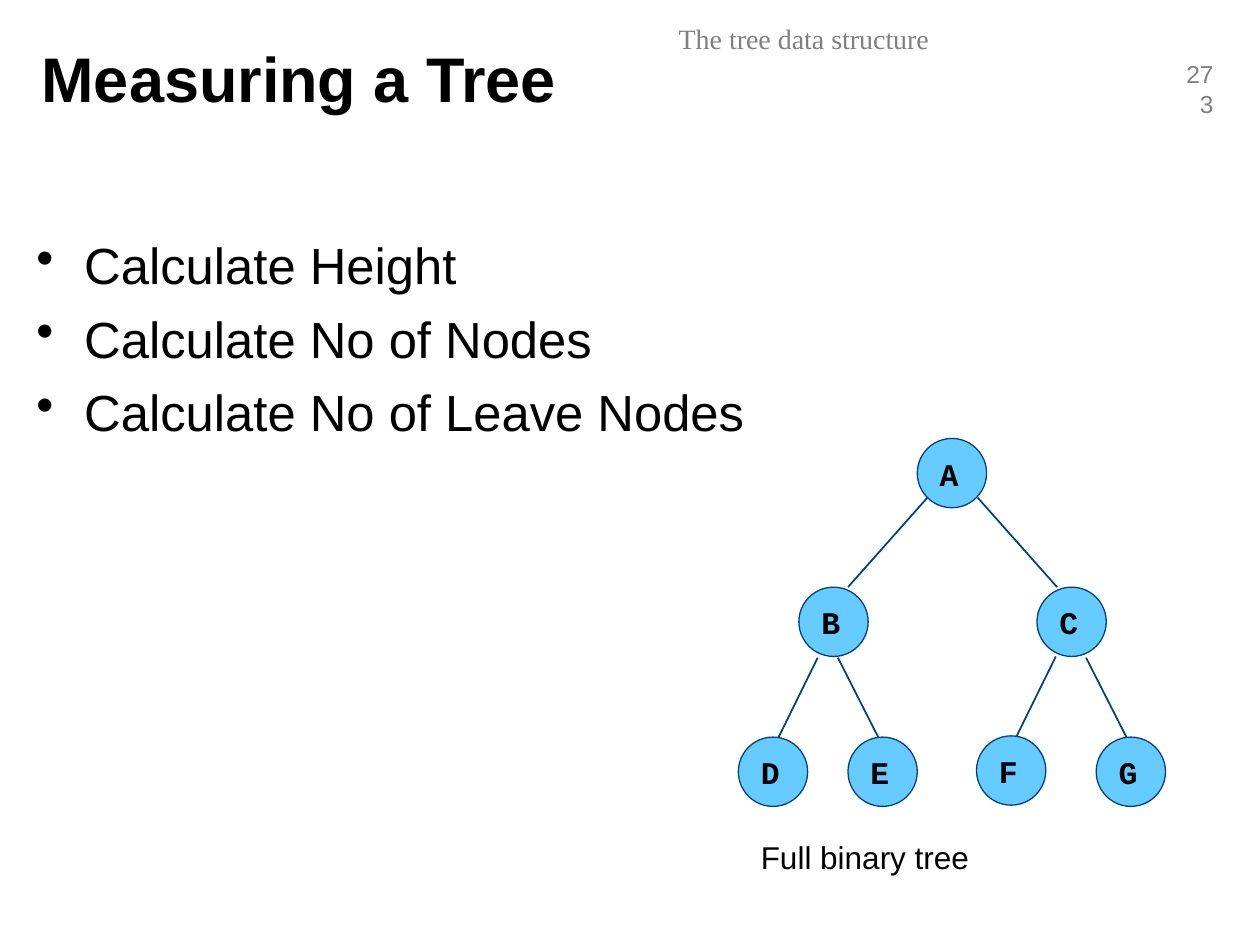
from lxml import etree
from pptx import Presentation
from pptx.dml.color import RGBColor
from pptx.enum import shapes, text
from pptx.oxml.ns import qn
from pptx.util import Inches, Pt

BLACK, GREY, NODE_FILL, NODE_LINE = "000000", "808080", "66CCFF", "004080"
NODE_SIZE = 0.55

# Positions are in inches from the top left corner of the tree.
NODES = {
    "A": (1.42, 0),
    "B": (0.48, 1.18), "C": (2.37, 1.18),
    "D": (0, 2.37), "E": (0.87, 2.37), "F": (1.89, 2.36), "G": (2.84, 2.37),
}
EDGES = [
    (1.5, 0.47, 0.87, 1.18), (1.9, 0.47, 2.53, 1.18),
    (0.63, 1.74, 0.32, 2.37), (0.79, 1.74, 1.11, 2.37),
    (2.52, 1.73, 2.21, 2.36), (2.76, 1.74, 3.08, 2.37),
]


def color(hex_string):
    return RGBColor.from_string(hex_string)


def format_paragraph(paragraph, size, font="Arial", fill=BLACK, bold=False,
                     align=text.PP_ALIGN.LEFT):
    paragraph.alignment = align
    for run in paragraph.runs:
        run.font.name = font
        run.font.size = Pt(size)
        run.font.bold = bold
        run.font.color.rgb = color(fill)


def add_text(parent, box, lines, size, **style):
    """Add a wrapped text box with one paragraph for each line."""
    shape = parent.add_textbox(*map(Inches, box))
    frame = shape.text_frame
    frame.word_wrap = True
    frame.text = "\n".join(lines)
    for paragraph in frame.paragraphs:
        format_paragraph(paragraph, size, **style)
    return shape


def add_header(slide):
    add_text(slide.shapes, (9.29, 0.42, 0.44, 0.33), ["273"], 14,
             fill=GREY, align=text.PP_ALIGN.RIGHT)
    add_text(slide.shapes, (3.19, 0.12, 6.38, 0.4),
             ["The tree data structure"], 16, font="Times New Roman",
             fill=GREY, align=text.PP_ALIGN.CENTER)


def set_title(slide, box, wording):
    title = slide.shapes.title
    title.left, title.top, title.width, title.height = map(Inches, box)
    title.text_frame.text = wording
    title.text_frame.vertical_anchor = text.MSO_ANCHOR.MIDDLE
    format_paragraph(title.text_frame.paragraphs[0], 36, bold=True)


def add_bullets(slide, box, lines):
    shape = add_text(slide.shapes, box, lines, 29)
    for index, paragraph in enumerate(shape.text_frame.paragraphs):
        if index:
            paragraph.space_before = Pt(7)
        properties = paragraph._p.get_or_add_pPr()
        properties.set("marL", str(Inches(0.38)))
        properties.set("indent", str(-Inches(0.38)))
        etree.SubElement(properties, qn("a:buChar"), char="•")


def add_edge(group, left, top, points):
    x1, y1, x2, y2 = points
    edge = group.shapes.add_connector(
        shapes.MSO_CONNECTOR.STRAIGHT, Inches(left + x1), Inches(top + y1),
        Inches(left + x2), Inches(top + y2))
    edge.line.color.rgb = color(NODE_LINE)
    edge.line.width = Pt(1)
    etree.SubElement(edge._element.spPr, qn("a:effectLst"))


def add_node(group, left, top, label):
    circle = group.shapes.add_shape(
        shapes.MSO_SHAPE.OVAL, Inches(left), Inches(top),
        Inches(NODE_SIZE), Inches(NODE_SIZE))
    circle.shadow.inherit = False
    circle.fill.solid()
    circle.fill.fore_color.rgb = color(NODE_FILL)
    circle.line.color.rgb = color(NODE_LINE)
    circle.line.width = Pt(0.75)
    add_text(group.shapes, (left + 0.08, top + 0.08, 0.39, 0.4), [label], 18,
             font="Courier New", bold=True)


def add_tree(slide, left, top):
    group = slide.shapes.add_group_shape()
    for label, (x, y) in NODES.items():
        add_node(group, left + x, top + y, label)
    for points in EDGES:
        add_edge(group, left, top, points)
    add_text(slide.shapes, (left + 0.08, top + 3.12, 3.23, 0.4),
             ["Full binary tree"], 18)


def main():
    presentation = Presentation()
    presentation.slide_width = Inches(10)
    presentation.slide_height = Inches(7.5)
    slide = presentation.slides.add_slide(presentation.slide_layouts[5])
    add_header(slide)
    set_title(slide, (0.23, 0.15, 8.03, 0.93), "Measuring a Tree")
    add_bullets(slide, (0.19, 1.81, 9.61, 4.82), [
        "Calculate Height",
        "Calculate No of Nodes",
        "Calculate No of Leave Nodes",
    ])
    add_tree(slide, 5.86, 3.48)
    presentation.save("out.pptx")


if __name__ == "__main__":
    main()
